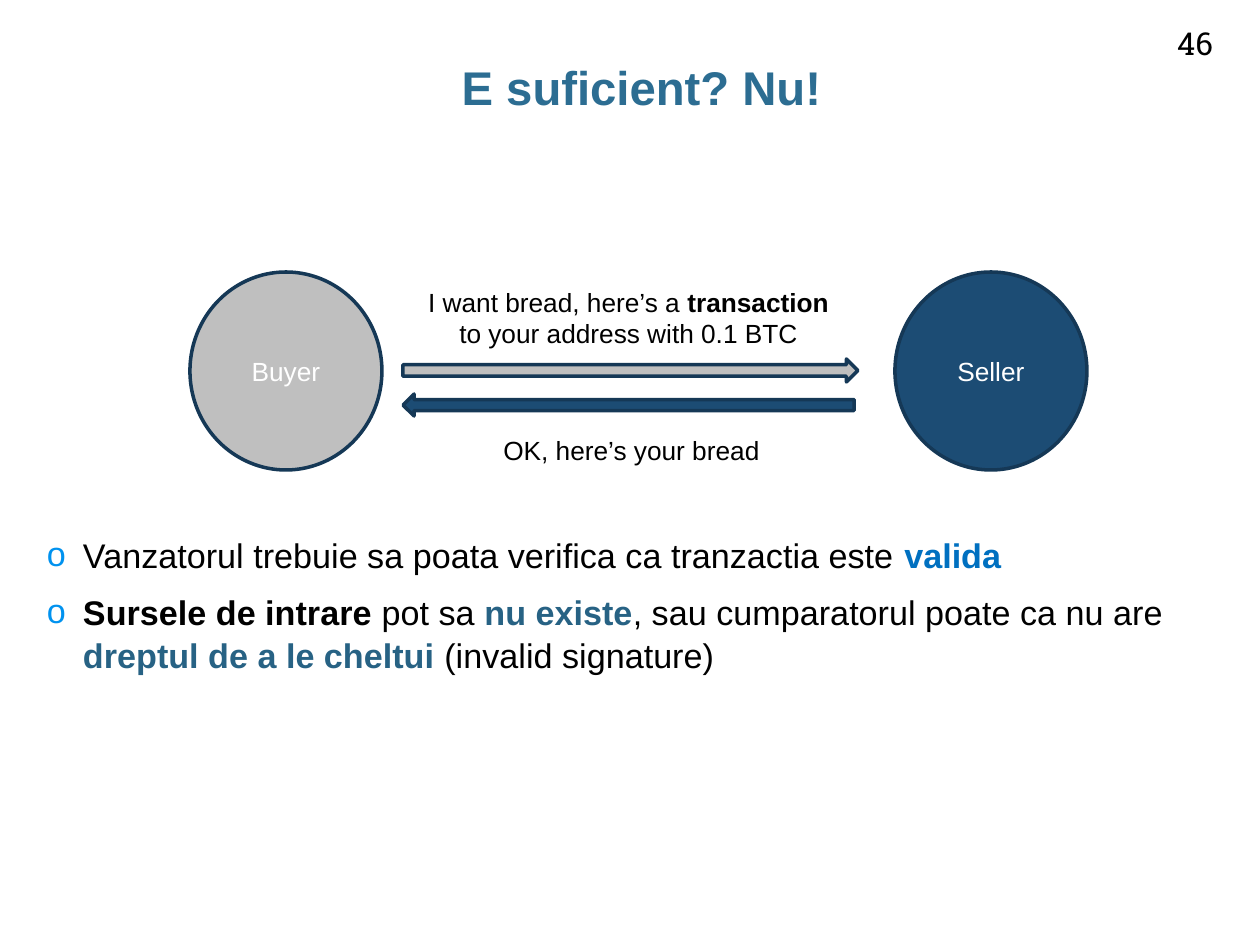
"""Build the slide on whether a bread-for-coins transaction is enough."""
from dataclasses import dataclass

from lxml.etree import SubElement
from pptx import Presentation
from pptx.dml.color import RGBColor
from pptx.enum.shapes import MSO_SHAPE
from pptx.enum.text import MSO_ANCHOR, MSO_AUTO_SIZE, PP_ALIGN
from pptx.oxml.ns import qn
from pptx.util import Emu, Pt

PX_PER_INCH = 126


def px(length):
    return Emu(round(length * 914400 / PX_PER_INCH))


@dataclass(frozen=True)
class Theme:
    font: str = "Arial"
    number_font: str = "Roboto Slab"
    title: str = "2C6D92"
    text: str = "000000"
    light_text: str = "FFFFFF"
    bullet: str = "0092EF"
    valid: str = "0070C0"
    warning: str = "276284"
    buyer: str = "BFBFBF"
    seller: str = "1C4C74"
    outline: str = "153856"
    title_size: float = 27
    number_size: float = 18
    body_size: float = 19.5
    label_size: float = 15


class SlideBuilder:
    def __init__(self, slide, theme):
        self.slide = slide
        self.theme = theme

    def place(self, shape, box):
        shape.left, shape.top, shape.width, shape.height = map(px, box)

    def style(self, paragraph, size, color, font=None, bold=None):
        paragraph.font.name = font or self.theme.font
        paragraph.font.size = Pt(size)
        paragraph.font.bold = bold
        paragraph.font.color.rgb = RGBColor.from_string(color)

    def add_parts(self, paragraph, parts):
        for text, color in parts:
            run = paragraph.add_run()
            run.text = text
            if color:
                run.font.bold = True
                run.font.color.rgb = RGBColor.from_string(color)

    def title(self, box, text):
        title = self.slide.shapes.title
        self.place(title, box)
        frame = title.text_frame
        frame.text = text
        frame.auto_size = MSO_AUTO_SIZE.NONE
        frame.vertical_anchor = MSO_ANCHOR.TOP
        frame.margin_top = frame.margin_bottom = px(13)
        heading = frame.paragraphs[0]
        heading.alignment = PP_ALIGN.CENTER
        heading.line_spacing = 0.95
        self.style(heading, self.theme.title_size, self.theme.title, bold=True)

    def bullets(self, box, items):
        body = self.slide.placeholders[1]
        self.place(body, box)
        frame = body.text_frame
        frame.auto_size = MSO_AUTO_SIZE.NONE
        frame.margin_left = frame.margin_right = 0
        for index, parts in enumerate(items):
            item = frame.add_paragraph() if index else frame.paragraphs[0]
            item.line_spacing = 1.05
            item.space_before = Pt(0.4 * self.theme.body_size if index else 0)
            self.bullet_mark(item, px(36))
            self.style(item, self.theme.body_size, self.theme.text)
            self.add_parts(item, parts)

    def bullet_mark(self, paragraph, indent):
        properties = paragraph._p.get_or_add_pPr()
        properties.set("marL", str(indent))
        properties.set("indent", str(-indent))
        color = SubElement(properties, qn("a:buClr"))
        SubElement(color, qn("a:srgbClr"), val=self.theme.bullet)
        SubElement(properties, qn("a:buFont"), typeface=self.theme.font)
        SubElement(properties, qn("a:buChar"), char="o")

    def label(self, box, parts):
        label = self.slide.shapes.add_textbox(*map(px, box))
        frame = label.text_frame
        frame.word_wrap = True
        frame.auto_size = MSO_AUTO_SIZE.SHAPE_TO_FIT_TEXT
        message = frame.paragraphs[0]
        message.alignment = PP_ALIGN.CENTER
        self.style(message, self.theme.label_size, self.theme.text)
        self.add_parts(message, parts)

    def page_number(self, box, text):
        number = self.slide.shapes.add_textbox(*map(px, box))
        frame = number.text_frame
        frame.word_wrap = True
        frame.vertical_anchor = MSO_ANCHOR.BOTTOM
        frame.text = text
        frame.paragraphs[0].alignment = PP_ALIGN.CENTER
        self.style(frame.paragraphs[0], self.theme.number_size,
                   self.theme.text, self.theme.number_font)

    def outlined(self, kind, box, fill):
        shape = self.slide.shapes.add_shape(kind, *map(px, box))
        shape.shadow.inherit = False
        shape.fill.solid()
        shape.fill.fore_color.rgb = RGBColor.from_string(fill)
        shape.line.color.rgb = RGBColor.from_string(self.theme.outline)
        shape.line.width = Pt(2)
        return shape

    def party(self, box, name, fill):
        frame = self.outlined(MSO_SHAPE.OVAL, box, fill).text_frame
        frame.vertical_anchor = MSO_ANCHOR.MIDDLE
        frame.text = name
        frame.paragraphs[0].alignment = PP_ALIGN.CENTER
        self.style(frame.paragraphs[0], self.theme.label_size, self.theme.light_text)

    def arrow(self, box, fill, rotation=0):
        self.outlined(MSO_SHAPE.RIGHT_ARROW, box, fill).rotation = rotation


def main():
    theme = Theme()
    presentation = Presentation()
    presentation.slide_width, presentation.slide_height = px(1260), px(945)
    slide = presentation.slides.add_slide(presentation.slide_layouts[1])
    builder = SlideBuilder(slide, theme)

    builder.title((47, 49, 1189, 100), "E suficient? Nu!")
    builder.page_number((1154, 18, 82, 50), "46")
    builder.bullets((47, 526, 1189, 272), [
        [("Vanzatorul trebuie sa poata verifica ca tranzactia este ", None),
         ("valida", theme.valid)],
        [("Sursele de intrare ", theme.text), ("pot sa ", None),
         ("nu existe", theme.warning),
         (", sau cumparatorul poate ca nu are ", None),
         ("dreptul de a le cheltui ", theme.warning),
         ("(invalid signature)", None)],
    ])

    for left, name, fill in ((895, "Seller", theme.seller), (190, "Buyer", theme.buyer)):
        builder.party((left, 272, 192, 198), name, fill)

    builder.arrow((403, 359, 455, 23), theme.buyer)
    builder.label((403, 280, 451, 77), [
        ("I want bread, here’s a ", None), ("transaction", theme.text),
        (" to your address with 0.1 BTC", None)])
    builder.arrow((403, 394, 451, 22), theme.seller, rotation=180)
    builder.label((406, 428, 451, 44), [("OK, here’s your bread", None)])

    presentation.save("out.pptx")


if __name__ == "__main__":
    main()
